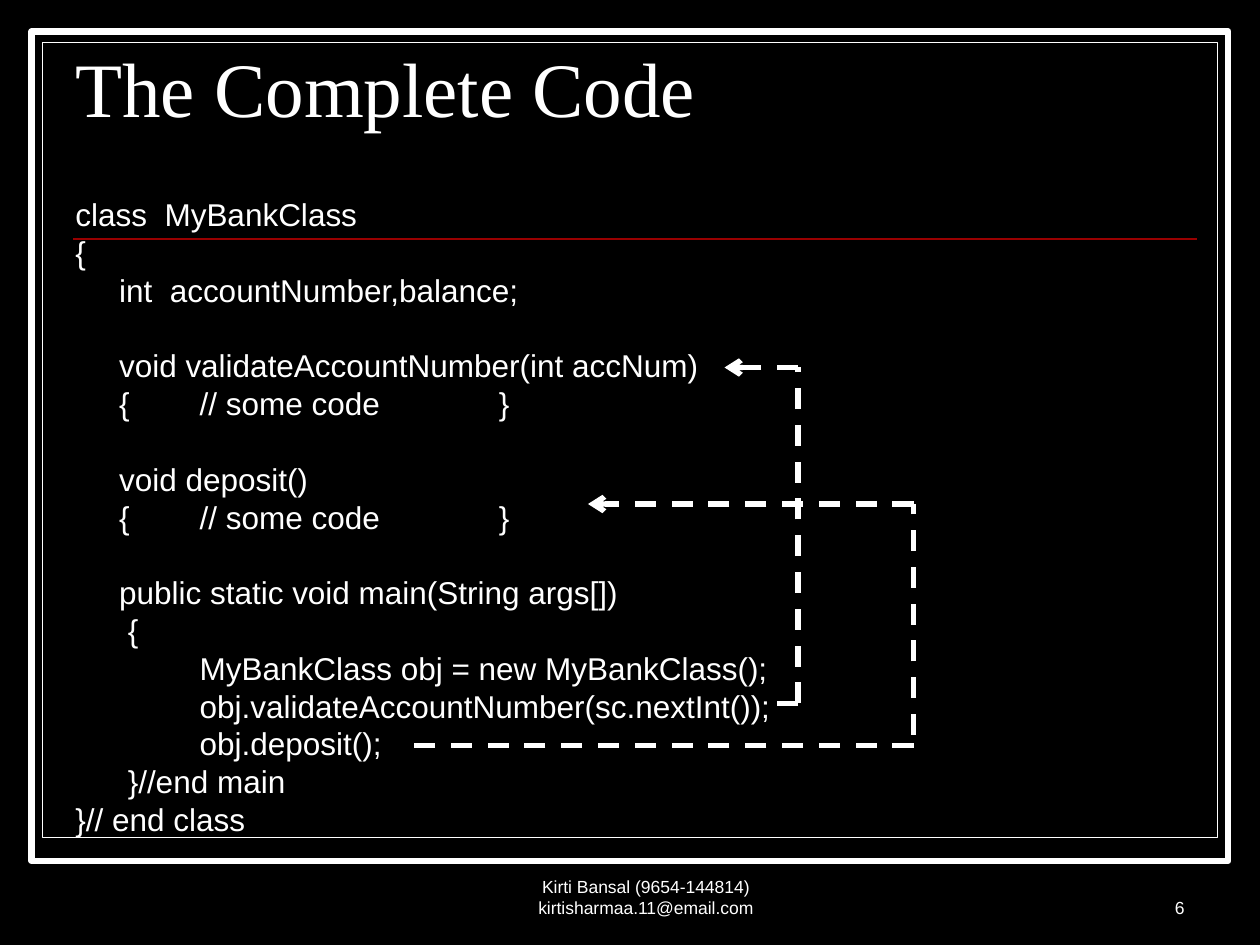
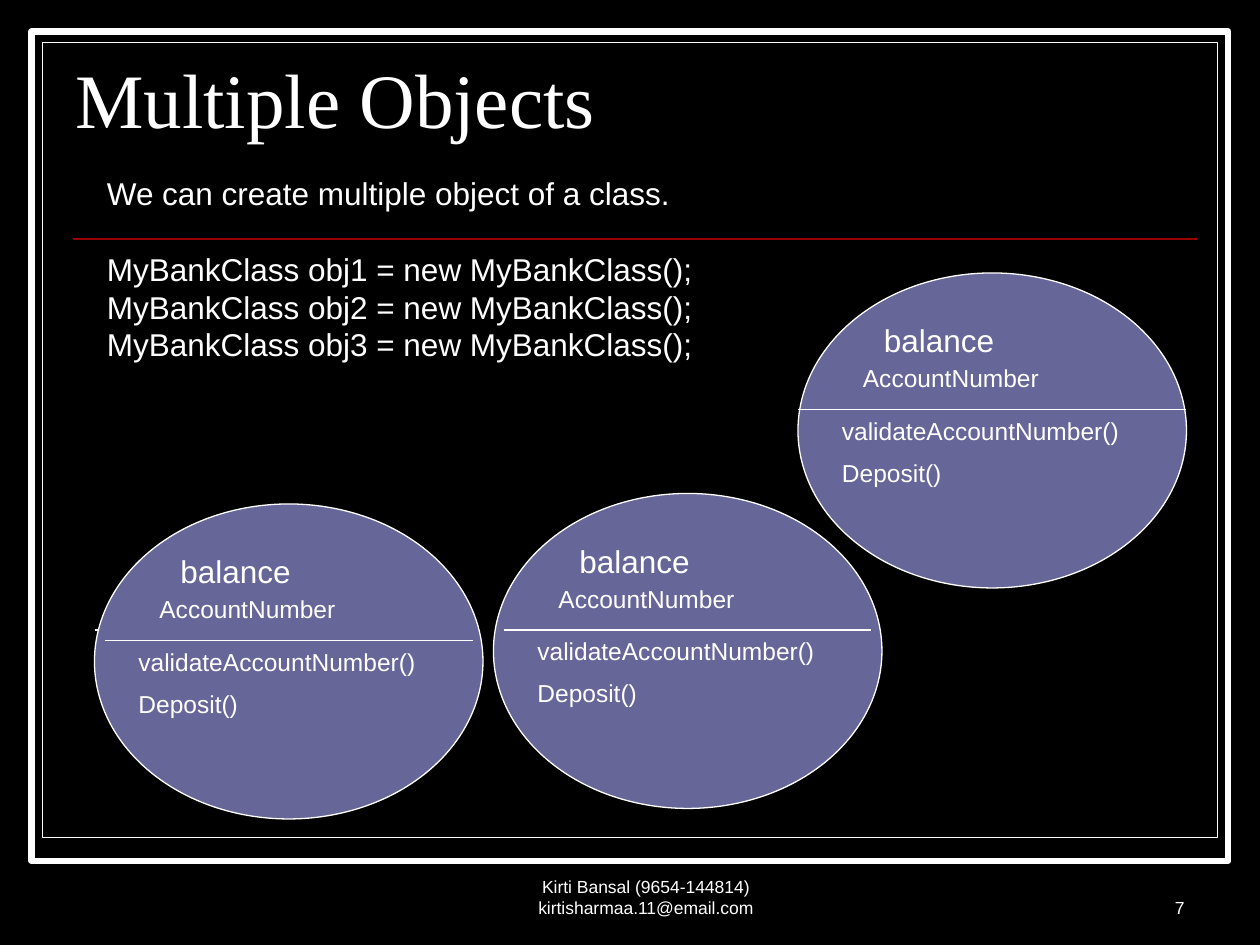
from lxml import etree
from pptx import Presentation
from pptx.dml.color import RGBColor
from pptx.enum import dml, shapes, text
from pptx.oxml import ns
from pptx.util import Pt

BLACK = RGBColor(0, 0, 0)
WHITE = RGBColor(255, 255, 255)
RED = RGBColor(0x99, 0, 0)
VIOLET = RGBColor(0x66, 0x66, 0x99)
SANS, SERIF = "Arial", "Times New Roman"
LEFT, MID, RIGHT = text.PP_ALIGN.LEFT, text.PP_ALIGN.CENTER, text.PP_ALIGN.RIGHT
TOP, LOW = text.MSO_ANCHOR.TOP, text.MSO_ANCHOR.BOTTOM
RECT, OVAL = shapes.MSO_SHAPE.RECTANGLE, shapes.MSO_SHAPE.OVAL
GAP = 21.6

PAGE = (0, 0, 720, 540)
CODE = (36, 108, 606, 378)
NOTE = (54, 96, 358.5, 138)
STOPS = (71, 242)

LINES = [
    "class  MyBankClass",
    "{",
    "     int  accountNumber,balance;",
    "     void validateAccountNumber(int accNum)",
    "     {\t// some code\t}",
    "     void deposit()",
    "     {\t// some code\t}",
    "     public static void main(String args[])",
    "      {",
    "\tMyBankClass obj = new MyBankClass();",
    "\tobj.validateAccountNumber(sc.nextInt());",
    "\tobj.deposit();",
    "      }//end main",
    "}// end class",
]
SAMPLE = ["We can create multiple object of a class."] + [
    f"MyBankClass obj{n} = new MyBankClass();" for n in (1, 2, 3)
]
LABELS = [
    ("balance", 18, (42, 24, 78, 24)),
    ("AccountNumber", 14, (30, 48, 156, 24)),
    ("validateAccountNumber()", 14, (18, 78, 174, 30)),
    ("Deposit()", 14, (18, 102, 84, 30)),
]


def place(box, part):
    return box[0] + part[0], box[1] + part[1], part[2], part[3]


def write(shape, lines, size=18, face=SANS, align=LEFT, anchor=TOP):
    frame = shape.text_frame
    frame.word_wrap = True
    frame.vertical_anchor = anchor
    frame.text = "\n".join(lines)
    for para in frame.paragraphs:
        para.alignment = align
        for run in para.runs:
            run.font.size = Pt(size)
            run.font.name = face
            run.font.color.rgb = WHITE
    return frame.paragraphs


def label(tree, box, lines, **style):
    return write(tree.add_textbox(*map(Pt, box)), lines, **style)


def draw(tree, kind, box, fill, width=None):
    shape = tree.add_shape(kind, *map(Pt, box))
    shape.shadow.inherit = False
    shape.fill.solid()
    shape.fill.fore_color.rgb = fill
    if width:
        shape.line.color.rgb = WHITE
        shape.line.width = Pt(width)
    else:
        shape.line.fill.background()
    return shape


def rule(tree, start, end, width=0.75, color=WHITE, dash=False, arrow=False):
    line = tree.add_connector(
        shapes.MSO_CONNECTOR.STRAIGHT, *map(Pt, (*start, *end))
    )
    line.line.color.rgb = color
    line.line.width = Pt(width)
    if dash:
        line.line.dash_style = dml.MSO_LINE.DASH
    if arrow:
        tip = etree.SubElement(line.line._get_or_add_ln(), ns.qn("a:tailEnd"))
        tip.set("type", "arrow")
    etree.SubElement(line._element.spPr, ns.qn("a:effectLst"))


def base(deck, box, title, high, page):
    slide = deck.slides.add_slide(deck.slide_layouts[6])
    slide.background.fill.solid()
    slide.background.fill.fore_color.rgb = BLACK
    tree = slide.shapes
    x, y = box[:2]
    draw(tree, RECT, place(box, (18, 18, 684, 474)), BLACK, 3.5)
    draw(tree, RECT, place(box, (24.25, 24.25, 671.5, 454.5)), BLACK, 0.75)
    rule(tree, (x + 42, y + 136.5), (x + 684, y + 136.5), 1, RED)
    head = label(tree, place(box, (36, 30, 642, high)), [title],
                 size=44, face=SERIF, anchor=LOW)
    head[0].line_spacing = 0.8
    label(tree, place(box, (255, 492, 228, 36)),
          ["Kirti Bansal (9654-144814) kirtisharmaa.11@email.com"],
          size=10, align=MID, anchor=LOW)
    label(tree, place(box, (534, 492, 150, 36)), [str(page)],
          size=10, align=RIGHT, anchor=LOW)
    return tree


def listing(tree, box):
    for para in label(tree, box, LINES):
        if "// some" in para.text:
            props = para._p.get_or_add_pPr()
            tabs = etree.SubElement(props, ns.qn("a:tabLst"))
            for stop in STOPS:
                tab = etree.SubElement(tabs, ns.qn("a:tab"))
                tab.set("pos", str(Pt(stop)))
                tab.set("algn", "l")
        if para.text.startswith(("     void", "     public")):
            para.space_before = Pt(GAP)


def call(tree, box, start, turn, end, foot):
    x, y = box[:2]
    side = x + turn
    rule(tree, (side, y + foot), (side, y + end[1]), 3, dash=True)
    rule(tree, (side, y + start[1]), (x + start[0], y + start[1]), 3, dash=True)
    rule(tree, (side, y + end[1]), (x + end[0], y + end[1]), 3,
         dash=True, arrow=True)


def node(tree, box, inset):
    parts = tree.add_group_shape().shapes
    draw(parts, OVAL, box, VIOLET, 0.75)
    for words, size, part in LABELS:
        write(draw(parts, RECT, place(box, part), VIOLET), [words], size)
    x, y, wide = box[:3]
    rule(tree, (x + inset, y + 78), (x + wide - inset, y + 78))


def code(deck):
    tree = base(deck, PAGE, "The Complete Code", 49, 6)
    listing(tree, CODE)
    call(tree, CODE, (402, 294), 420, (378, 102), 294)
    call(tree, CODE, (192, 318), 486, (300, 180), 312)


def many(deck):
    tree = base(deck, PAGE, "Multiple Objects", 55.5, 7)
    label(tree, NOTE, SAMPLE)[1].space_before = Pt(GAP)
    rule(tree, (54, 360), (270, 360))
    for x, y, inset in ((54, 288, 6), (282, 282, 6), (456, 156, 0)):
        node(tree, (x, y, 222, 180), inset)


def main():
    deck = Presentation()
    deck.slide_width, deck.slide_height = Pt(PAGE[2]), Pt(PAGE[3])
    code(deck)
    many(deck)
    deck.save("out.pptx")


if __name__ == "__main__":
    main()
